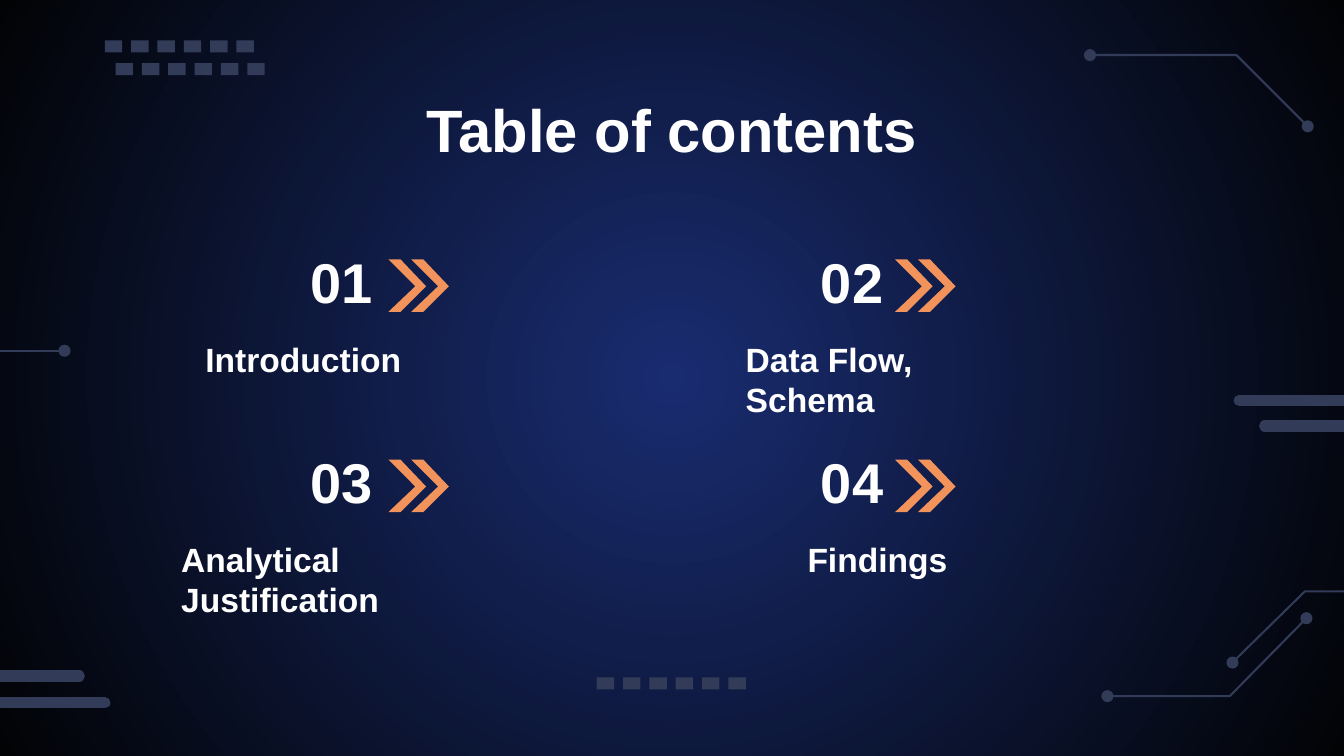
from lxml import etree
from pptx import Presentation
from pptx.dml.color import RGBColor
from pptx.enum.shapes import MSO_CONNECTOR, MSO_SHAPE
from pptx.enum.text import MSO_ANCHOR, PP_ALIGN
from pptx.oxml.ns import qn
from pptx.util import Inches, Pt

SLATE = RGBColor(0x32, 0x3B, 0x58)
ORANGE = RGBColor(0xF2, 0x93, 0x5B)
WHITE = RGBColor(0xFF, 0xFF, 0xFF)
NAVY = RGBColor(0x19, 0x2C, 0x70)
NIGHT = RGBColor(0x02, 0x03, 0x05)
OVAL, RECT = MSO_SHAPE.OVAL, MSO_SHAPE.RECTANGLE
STRAIGHT = MSO_CONNECTOR.STRAIGHT
TOP, BOTTOM = MSO_ANCHOR.TOP, MSO_ANCHOR.BOTTOM
LEFT, CENTER = PP_ALIGN.LEFT, PP_ALIGN.CENTER

FONT = "Arial"
SLIDE_W = 10
SLIDE_H = SLIDE_W * 9 / 16
DOT = 0.09
DASH_W, DASH_H, DASH_COUNT = 0.13, 0.09, 6
DASH_ROW_W = 1.11
CHEVRON = [(0, 0), (0.09, 0), (0.28, 0.2), (0.09, 0.39), (0, 0.39), (0.2, 0.2)]

DASH_ROWS = [(0.78, 0.3), (0.86, 0.47), (4.44, 5.04)]
TRACES = [
    ([(0, 2.61), (0.48, 2.61)], [-1]),
    ([(8.11, 0.41), (9.2, 0.41), (9.73, 0.94)], [0, -1]),
    ([(9.17, 4.93), (9.71, 4.4), (10, 4.4)], [0]),
    ([(8.24, 5.18), (9.15, 5.18), (9.72, 4.6)], [0, -1]),
]
BARS = [(9.22, 10, 2.98), (9.41, 10, 3.17), (0, 0.59, 5.03), (0, 0.78, 5.23)]
ENTRIES = [
    ("01", "Introduction", 2.21, 1.82, 2.89, 1.43, 2.38),
    ("02", "Data Flow, Schema", 6.01, 1.82, 6.66, 5.45, 2.38),
    ("03", "Analytical Justification", 2.21, 3.31, 2.89, 1.25, 2.73),
    ("04", "Findings", 6.01, 3.31, 6.66, 5.91, 2.18),
]


def set_background(s):
    """Fill the background with a radial gradient from the centre."""
    fill = s.background.fill
    fill.gradient()
    for stop, color, position in zip(fill.gradient_stops, (NAVY, NIGHT), (0, 1)):
        stop.color.rgb = color
        stop.position = position
    grad = s.element.find(".//" + qn("a:gradFill"))
    for lin in grad.findall(qn("a:lin")):
        grad.remove(lin)
    circle = etree.SubElement(grad, qn("a:path"), path="circle")
    etree.SubElement(circle, qn("a:fillToRect"), l="50000", t="50000", r="50000", b="50000")


def paint(sp, color):
    """Give a shape a plain fill without line or shadow."""
    sp.shadow.inherit = False
    sp.fill.solid()
    sp.fill.fore_color.rgb = color
    sp.line.fill.background()


def add_outline(s, points, close):
    """Build a freeform through the given points."""
    start, *rest = [(Inches(x), Inches(y)) for x, y in points]
    builder = s.shapes.build_freeform(*start)
    builder.add_line_segments(rest, close=close)
    return builder.convert_to_shape()


def add_dashes(s, left, top, width):
    """Place a row of evenly spaced small blocks."""
    pitch = (width - DASH_W) / (DASH_COUNT - 1)
    for i in range(DASH_COUNT):
        sp = s.shapes.add_shape(RECT, Inches(left + i * pitch), Inches(top),
                                Inches(DASH_W), Inches(DASH_H))
        paint(sp, SLATE)


def add_trace(s, points, dotted):
    """Draw a circuit trace with dots at the listed points."""
    sp = add_outline(s, points, False)
    sp.shadow.inherit = False
    sp.fill.background()
    sp.line.color.rgb = SLATE
    sp.line.width = Pt(1.1)
    for i in dotted:
        x, y = points[i]
        dot = s.shapes.add_shape(OVAL, Inches(x - DOT / 2), Inches(y - DOT / 2),
                                 Inches(DOT), Inches(DOT))
        paint(dot, SLATE)


def add_bar(s, left, right, y):
    """Draw a thick horizontal line with round ends."""
    line = s.shapes.add_connector(STRAIGHT, Inches(left), Inches(y), Inches(right), Inches(y))
    line.line.color.rgb = SLATE
    line.line.width = Pt(6)
    props = line.element.spPr
    props.find(qn("a:ln")).set("cap", "rnd")
    etree.SubElement(props, qn("a:effectLst"))


def add_text(s, text, left, top, width, height, size, anchor=TOP, align=LEFT):
    """Place one bold white paragraph in a box."""
    box = s.shapes.add_textbox(Inches(left), Inches(top), Inches(width), Inches(height))
    tf = box.text_frame
    tf.word_wrap = True
    tf.vertical_anchor = anchor
    tf.margin_left = tf.margin_right = tf.margin_top = tf.margin_bottom = Inches(0.1)
    p = tf.paragraphs[0]
    p.text = text
    p.alignment = align
    p.font.name = FONT
    p.font.size = Pt(size)
    p.font.bold = True
    p.font.color.rgb = WHITE


def add_entry(s, number, label, left, top, arrow_left, label_left, label_width):
    """Place a number, its double chevron and the label below."""
    add_text(s, number, left, top - 0.01, 0.8, 0.63, 30, anchor=BOTTOM)
    add_text(s, label, label_left, top + 0.6, label_width, 0.55, 18)
    for shift in (0, 0.17):
        points = [(arrow_left + shift + x, top + 0.11 + y) for x, y in CHEVRON]
        paint(add_outline(s, points, True), ORANGE)


def build_contents(s):
    """Compose the table of contents slide."""
    set_background(s)
    for points, dotted in TRACES:
        add_trace(s, points, dotted)
    for left, top in DASH_ROWS:
        add_dashes(s, left, top, DASH_ROW_W)
    for bar in BARS:
        add_bar(s, *bar)
    add_text(s, "Table of contents", 1, 0.59, 8, 0.63, 32, align=CENTER)
    for entry in ENTRIES:
        add_entry(s, *entry)


def main():
    """Create and save the presentation."""
    prs = Presentation()
    prs.slide_width, prs.slide_height = Inches(SLIDE_W), Inches(SLIDE_H)
    build_contents(prs.slides.add_slide(prs.slide_layouts[6]))
    prs.save("out.pptx")


if __name__ == "__main__":
    main()
